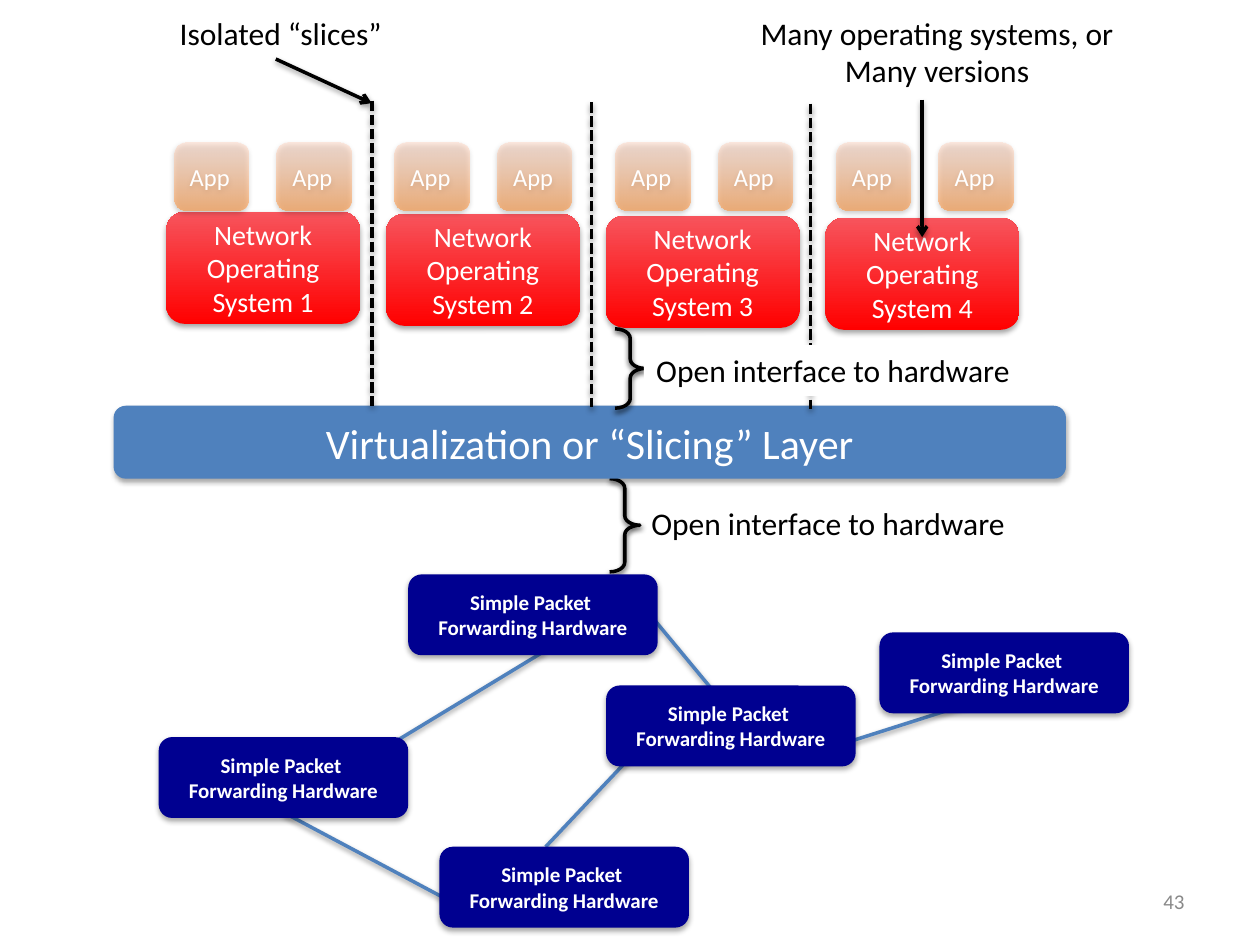
from lxml.etree import SubElement
from pptx import Presentation
from pptx.dml.color import RGBColor
from pptx.enum.dml import MSO_LINE
from pptx.enum.shapes import MSO_CONNECTOR, MSO_SHAPE
from pptx.enum.text import MSO_ANCHOR, PP_ALIGN
from pptx.oxml.ns import qn
from pptx.util import Cm, Pt

BLACK = RGBColor(0x00, 0x00, 0x00)
WHITE = RGBColor(0xFF, 0xFF, 0xFF)
GRAY = RGBColor(0x89, 0x89, 0x89)
BLUE = RGBColor(0x4F, 0x81, 0xBD)
NAVY = RGBColor(0x00, 0x00, 0x90)
RED = RGBColor(0xFF, 0x00, 0x00)
LIGHT_RED = RGBColor(0xF7, 0x54, 0x5C)
ORANGE = RGBColor(0xFF, 0x95, 0x3E)
LIGHT_ORANGE = RGBColor(0xFF, 0xD2, 0xBD)

LINKS = [
    (7.16, 15.44, 10.97, 13.13),
    (12.73, 11.94, 14.48, 14.05),
    (11, 17.07, 12.73, 15.24),
    (5.72, 16.38, 9.25, 18.26),
    (16.21, 15.24, 19.48, 14.2),
]
SWITCHES = [(17.73, 12.75), (12.22, 13.82), (3.2, 14.86), (8.86, 17.07), (8.23, 11.58)]


def add_shadow(sp, opacity, distance):
    effects = SubElement(sp._element.spPr, qn("a:effectLst"))
    shadow = SubElement(effects, qn("a:outerShdw"), blurRad="40000",
                        dist=str(distance), dir="5400000", rotWithShape="0")
    color = SubElement(shadow, qn("a:srgbClr"), val="000000")
    SubElement(color, qn("a:alpha"), val=str(opacity * 1000))


def write_text(sp, text, size, color, align=PP_ALIGN.CENTER, bold=False):
    tf = sp.text_frame
    tf.text = text
    for p in tf.paragraphs:
        p.alignment = align
        for r in p.runs:
            r.font.name = "Calibri"
            r.font.size = Pt(size)
            r.font.bold = bold
            r.font.color.rgb = color


def fill_gradient(sp, bottom, top, opacities=()):
    sp.fill.gradient()
    sp.fill.gradient_angle = 90
    stops = sp.fill.gradient_stops
    for stop, color, position in zip(stops, (bottom, top), (0, 1)):
        stop.color.rgb = color
        stop.position = position
    colors = sp._element.spPr.iter(qn("a:srgbClr"))
    for color, opacity in zip(list(colors), opacities):
        SubElement(color, qn("a:alpha"), val=str(opacity * 1000))


def add_box(slide, box, text, size, fill=None, align=PP_ALIGN.CENTER, bold=False):
    sp = slide.shapes.add_shape(MSO_SHAPE.ROUNDED_RECTANGLE, *map(Cm, box))
    if fill is not None:
        sp.fill.solid()
        sp.fill.fore_color.rgb = fill
    sp.line.fill.background()
    add_shadow(sp, 35, 23000)
    sp.text_frame.vertical_anchor = MSO_ANCHOR.MIDDLE
    write_text(sp, text, size, WHITE, align, bold)
    return sp


def add_label(slide, box, text, align=PP_ALIGN.LEFT, size=18, color=BLACK, wrap=False):
    sp = slide.shapes.add_textbox(*map(Cm, box))
    sp.text_frame.word_wrap = wrap
    write_text(sp, text, size, color, align)
    return sp


def add_line(slide, ends, color=BLACK, dash=None, arrow=False):
    sp = slide.shapes.add_connector(MSO_CONNECTOR.STRAIGHT, *map(Cm, ends))
    sp.line.color.rgb = color
    sp.line.width = Pt(2)
    if dash:
        sp.line.dash_style = dash
    if arrow:
        SubElement(sp.line._get_or_add_ln(), qn("a:tailEnd"), type="arrow")
    add_shadow(sp, 38, 20000)


def add_brace(slide, box):
    sp = slide.shapes.add_shape(MSO_SHAPE.RIGHT_BRACE, *map(Cm, box))
    sp.adjustments[0] = 0.315
    sp.fill.background()
    sp.line.color.rgb = BLACK
    sp.line.width = Pt(2)
    add_shadow(sp, 69, 20000)


def add_slice(slide, i):
    system = add_box(slide, (3.35 + 4.43 * i, 4.27 + 0.04 * i, 3.91, 2.26),
                     f"Network Operating System {i + 1}", 16)
    fill_gradient(system, RED, LIGHT_RED)
    for j in range(2):
        app = add_box(slide, (3.51 + 4.45 * i + 2.07 * j, 2.87, 1.5, 1.37),
                      "App", 14, align=PP_ALIGN.LEFT)
        fill_gradient(app, ORANGE, LIGHT_ORANGE, (60, 45))


def main():
    prs = Presentation()
    prs.slide_width, prs.slide_height = Cm(25.4), Cm(19.05)
    slide = prs.slides.add_slide(prs.slide_layouts[6])

    for ends in LINKS:
        add_line(slide, ends, BLUE)
    add_brace(slide, (12.29, 9.65, 0.61, 1.88))
    add_label(slide, (12.88, 10.03, 7.72, 1.02), "Open interface to hardware")
    add_box(slide, (2.29, 8.18, 19.2, 1.47), "Virtualization or “Slicing” Layer", 24, BLUE)

    for i in range(4):
        add_slice(slide, i)
    add_label(slide, (15.04, 0.15, 7.7, 1.8),
              "Many operating systems, or\nMany versions", PP_ALIGN.CENTER)
    add_line(slide, (18.59, 2.01, 18.59, 4.78), arrow=True)
    for i in range(3):
        x, y = 7.5 + 4.42 * i, 2.03 + 0.03 * i
        add_line(slide, (x, y, x, y + 6.15), dash=MSO_LINE.SQUARE_DOT)

    add_brace(slide, (12.4, 6.63, 0.61, 1.6))
    interface = add_label(slide, (12.98, 6.96, 7.7, 1.02),
                          "Open interface to hardware", wrap=True)
    interface.fill.solid()
    interface.fill.fore_color.rgb = WHITE
    add_label(slide, (3.35, 0.15, 4.62, 1.02), "Isolated “slices”", PP_ALIGN.CENTER)
    add_line(slide, (5.56, 1.19, 7.49, 2.08), arrow=True)

    for x, y in SWITCHES:
        add_box(slide, (x, y, 5.03, 1.63), "Simple Packet \vForwarding Hardware",
                12, NAVY, bold=True)
    number = add_label(slide, (18.21, 17.65, 5.92, 1.02), "43", PP_ALIGN.RIGHT, 12, GRAY, True)
    number.text_frame.vertical_anchor = MSO_ANCHOR.MIDDLE

    prs.save("out.pptx")


if __name__ == "__main__":
    main()
